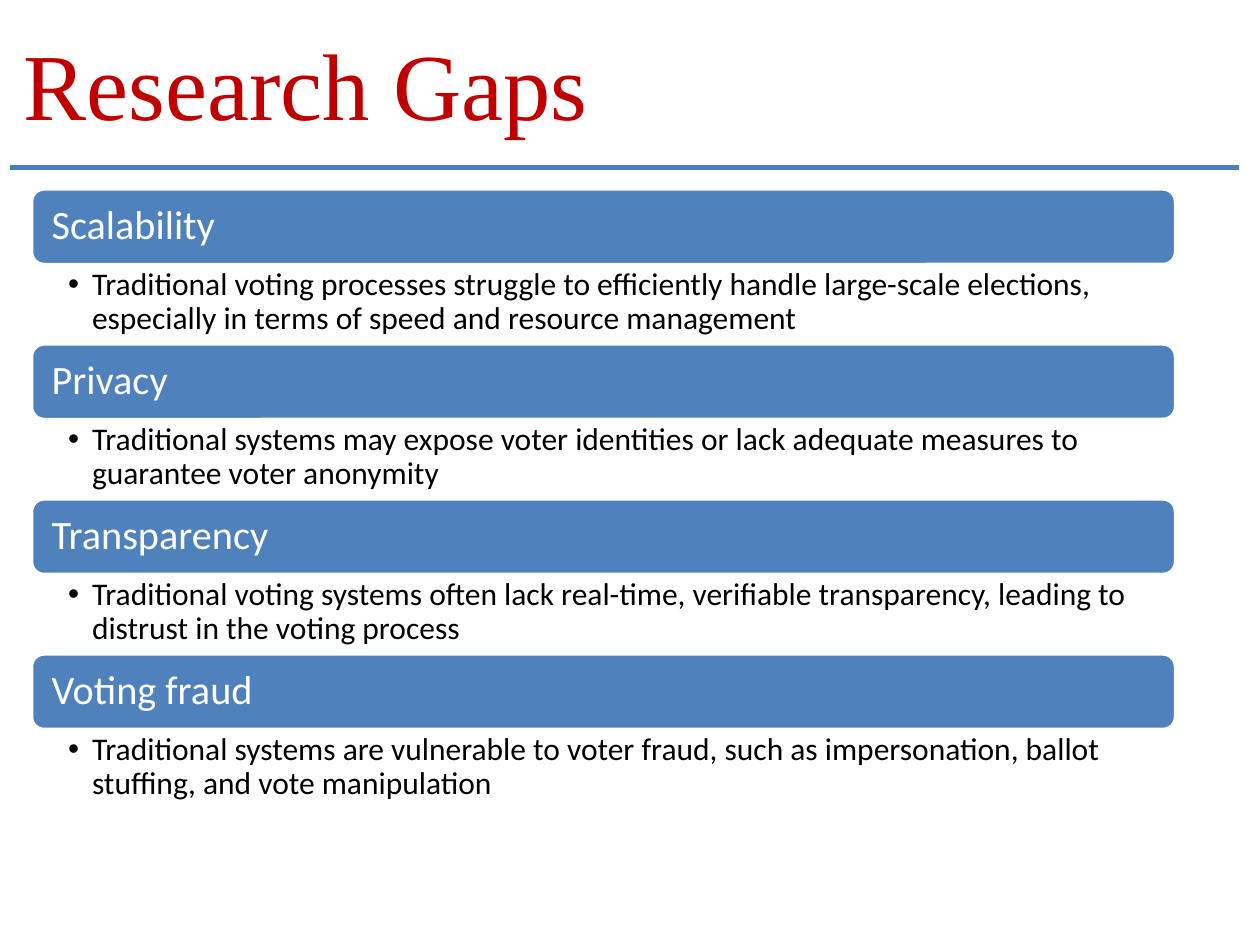
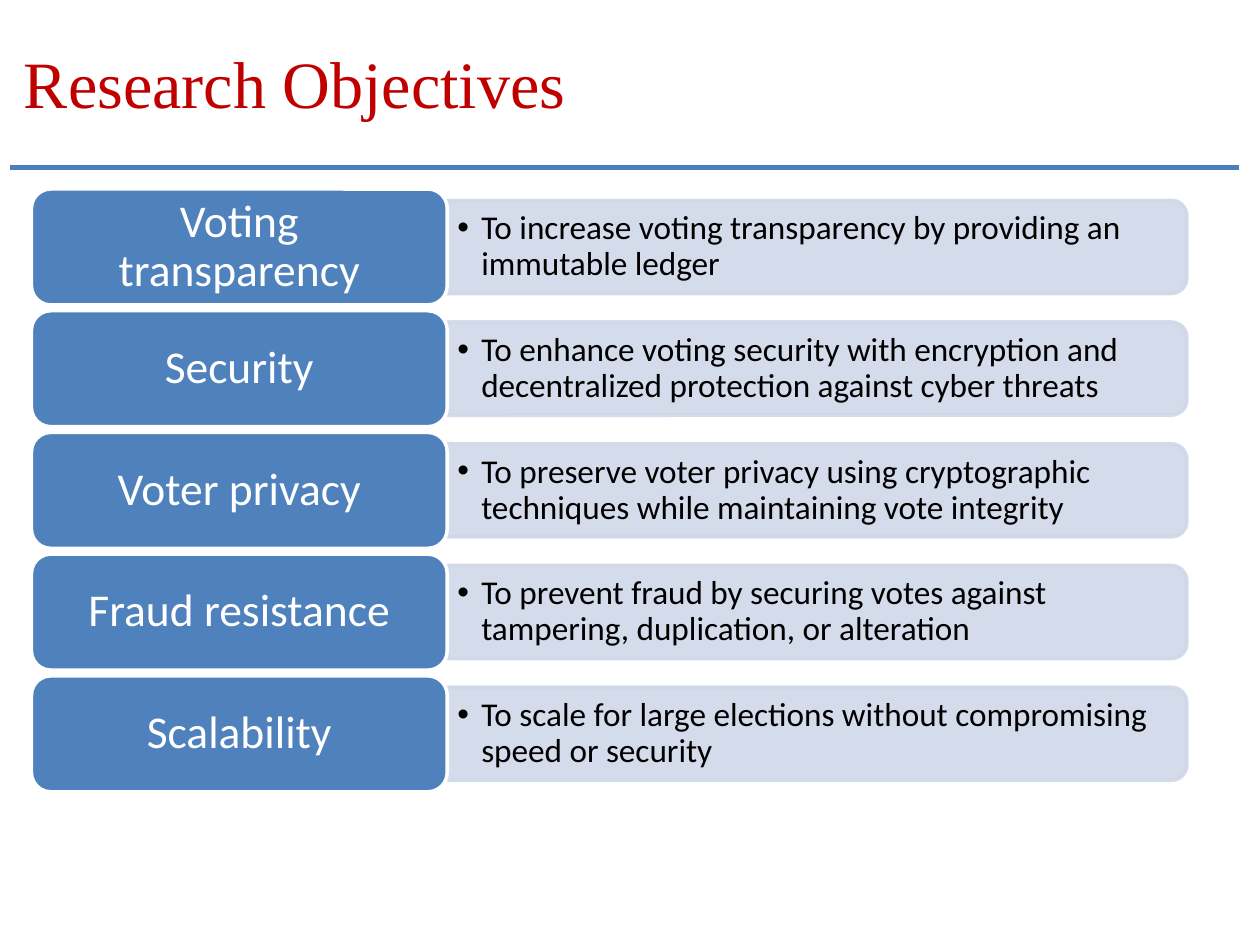
"""Build two slides on voting research: gaps and objectives."""
from lxml import etree
from pptx import Presentation
from pptx import util as u
from pptx.dml.color import RGBColor
from pptx.enum import shapes, text
from pptx.oxml.ns import qn

GAPS = [
    ("Scalability", "Traditional voting processes struggle to efficiently handle large-scale elections, "
                    "especially in terms of speed and resource management"),
    ("Privacy", "Traditional systems may expose voter identities or lack adequate measures to "
                "guarantee voter anonymity"),
    ("Transparency", "Traditional voting systems often lack real-time, verifiable transparency, "
                     "leading to distrust in the voting process"),
    ("Voting fraud", "Traditional systems are vulnerable to voter fraud, such as impersonation, "
                     "ballot stuffing, and vote manipulation"),
]
OBJECTIVES = [
    ("Voting transparency", "To increase voting transparency by providing an immutable ledger"),
    ("Security", "To enhance voting security with encryption and decentralized protection "
                 "against cyber threats"),
    ("Voter privacy", "To preserve voter privacy using cryptographic techniques while "
                      "maintaining vote integrity"),
    ("Fraud resistance", "To prevent fraud by securing votes against tampering, duplication, "
                         "or alteration"),
    ("Scalability", "To scale for large elections without compromising speed or security"),
]
COLORS = {"title": "C00000", "rule": "4B7EBC", "block": "4F81BD", "panel": "D0D8E8",
          "light": "FFFFFF", "dark": "000000"}
TITLE_FONT, BODY_FONT = "Times New Roman", "Calibri"
LEFT, TOP = 0.25, 1.5
HANG = 0.19


def color(name):
    return RGBColor.from_string(COLORS[name])


def place(shape, left, top, width, height):
    for name, value in zip(("left", "top", "width", "height"), (left, top, width, height)):
        setattr(shape, name, u.Inches(value))


def write(shape, words, size, tint, font=BODY_FONT, align="LEFT", anchor="MIDDLE",
          insets=(0.1, 0.05, 0.1, 0.05), spacing=0.9):
    frame = shape.text_frame
    margins = zip(("margin_left", "margin_top", "margin_right", "margin_bottom"), insets)
    settings = {"word_wrap": True, "auto_size": text.MSO_AUTO_SIZE.NONE,
                "vertical_anchor": text.MSO_ANCHOR[anchor],
                **{side: u.Inches(value) for side, value in margins}}
    for name, value in settings.items():
        setattr(frame, name, value)
    para = frame.paragraphs[0]
    para.alignment = text.PP_ALIGN[align]
    para.line_spacing = spacing
    span = para.add_run()
    span.text = words
    for name, value in {"name": font, "size": u.Pt(size)}.items():
        setattr(span.font, name, value)
    span.font.color.rgb = color(tint)
    return para


def add_block(page, kind, area, fill, line):
    block = page.shapes.add_shape(shapes.MSO_SHAPE[kind], *map(u.Inches, area))
    block.shadow.inherit = False
    block.fill.solid()
    block.fill.fore_color.rgb = color(fill)
    block.line.color.rgb = color(line)
    block.line.width = u.Pt(2)
    return block


def add_detail(page, area, words, size, **style):
    box = page.shapes.add_textbox(*map(u.Inches, area))
    para = write(box, words, size, "dark", **style)
    para.level = 1
    props = para._p.get_or_add_pPr()
    props.set("marL", str(u.Inches(HANG)))
    props.set("indent", str(-u.Inches(HANG)))
    etree.SubElement(props, qn("a:buFont")).set("typeface", "Arial")
    etree.SubElement(props, qn("a:buChar")).set("char", "•")


def add_page(deck, title, size):
    page = deck.slides.add_slide(deck.slide_layouts.get_by_name("Title Only"))
    rule = page.shapes.add_connector(shapes.MSO_CONNECTOR.STRAIGHT,
                                     *map(u.Inches, (0.08, 1.33, 9.83, 1.33)))
    rule.line.color.rgb = color("rule")
    rule.line.width = u.Pt(3)
    etree.SubElement(rule._element.spPr, qn("a:effectLst"))
    place(page.shapes.title, 0.12, 0.17, 4.71, 0.97)
    write(page.shapes.title, title, size, "title", TITLE_FONT,
          insets=(0.07, 0.04, 0.07, 0.04), spacing=1.0)
    return page


def add_gaps(page):
    width, bar, detail = 9.08, 0.6, 0.63
    for row, (name, words) in enumerate(GAPS):
        top = TOP + row * (bar + detail)
        block = add_block(page, "ROUNDED_RECTANGLE", (LEFT, top, width, bar), "block", "light")
        write(block, name, 23, "light", insets=(0.13, 0.1, 0.13, 0.1))
        add_detail(page, (LEFT, top + bar, width, detail), words, 18, anchor="TOP",
                   insets=(0.29, 0.03, 0.18, 0.03))


def add_objectives(page):
    label, panel = (3.3, 0.92), (5.87, 0.74)
    start = LEFT + label[0]
    for row, (name, words) in enumerate(OBJECTIVES):
        top = TOP + row * label[1] * 1.05
        middle = top + label[1] / 2
        turned = (start + (panel[0] - panel[1]) / 2, middle - panel[0] / 2, panel[1], panel[0])
        back = add_block(page, "ROUND_2_SAME_RECTANGLE", turned, "panel", "panel")
        back.rotation = 90
        for tint in back._element.spPr.iter(qn("a:srgbClr")):
            etree.SubElement(tint, qn("a:alpha")).set("val", "90000")
        add_detail(page, (start, middle - 0.33, 5.83, 0.66), words, 19,
                   insets=(0.08, 0.04, 0.08, 0.04))
        block = add_block(page, "ROUNDED_RECTANGLE", (LEFT, top, *label), "block", "light")
        write(block, name, 26, "light", align="CENTER", insets=(0.15, 0.09, 0.15, 0.09))


def main():
    deck = Presentation()
    deck.slide_width, deck.slide_height = u.Inches(10), u.Inches(7.5)
    add_gaps(add_page(deck, "Research Gaps", 54))
    add_objectives(add_page(deck, "Research Objectives", 37.8))
    deck.save("out.pptx")


if __name__ == "__main__":
    main()
